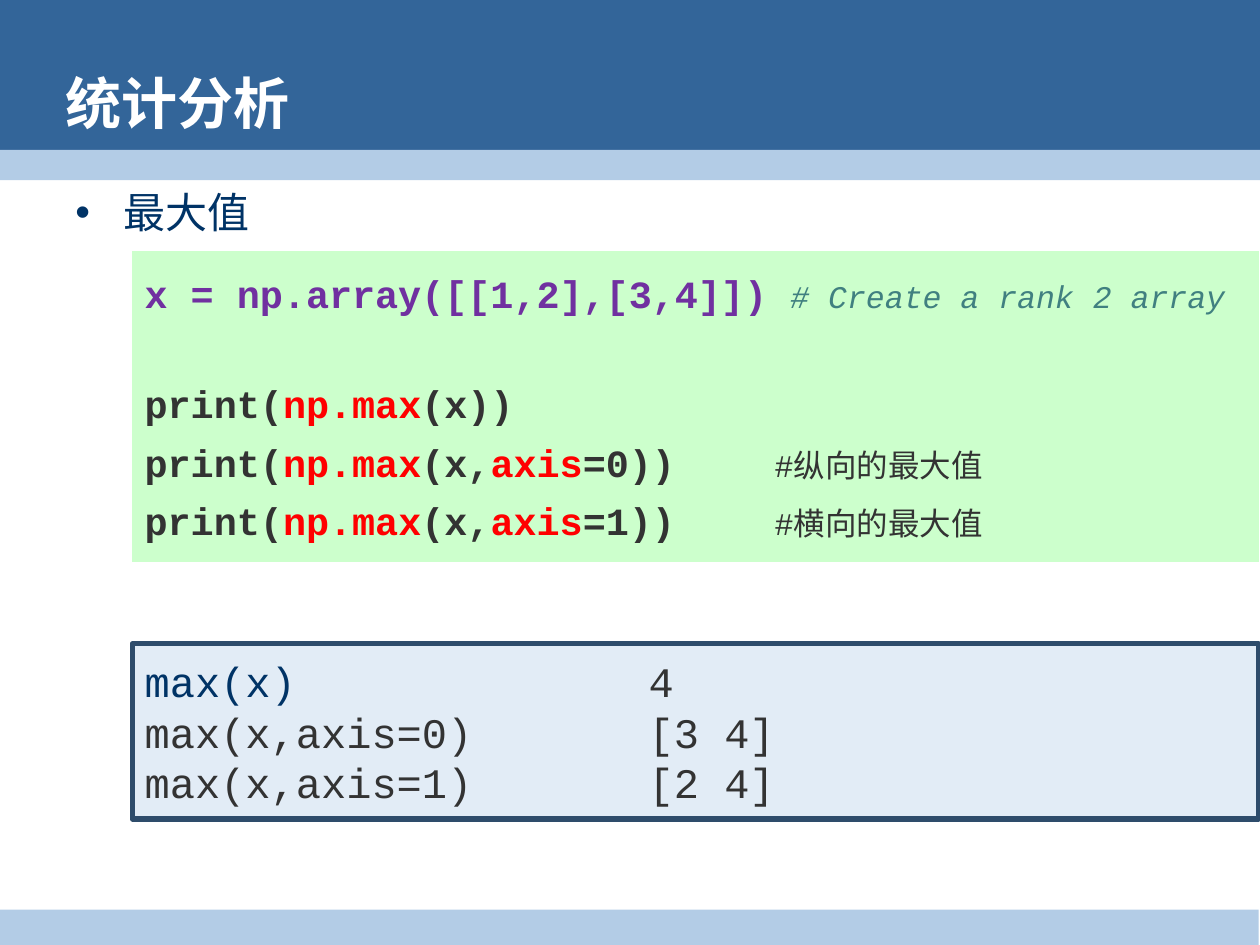
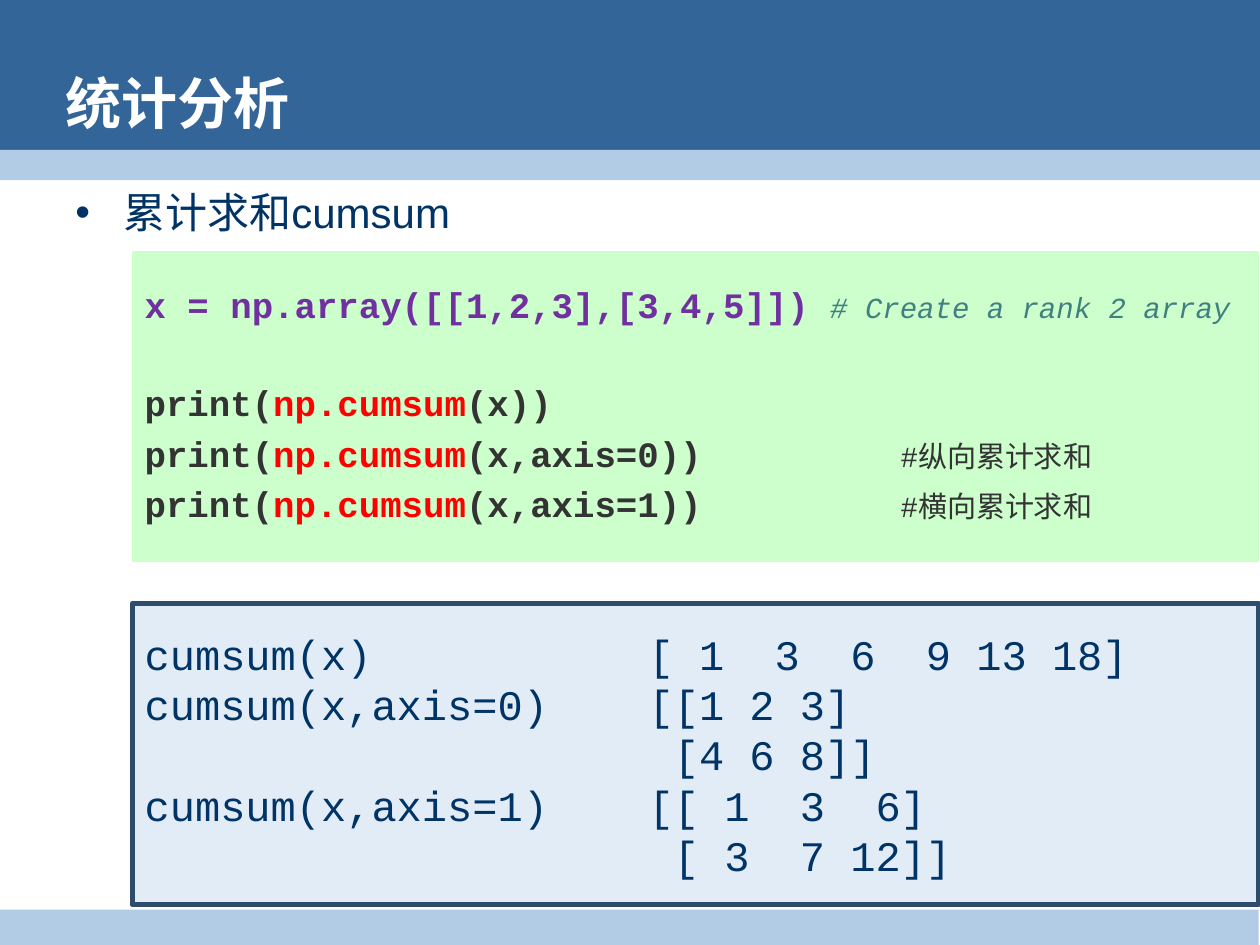
"""Build two lecture slides on NumPy statistics: maximum and cumulative sum."""
from dataclasses import dataclass

from lxml import etree
from pptx import Presentation
from pptx import util as u
from pptx.dml.color import RGBColor
from pptx.enum import shapes, text
from pptx.oxml.ns import qn


@dataclass(frozen=True)
class Theme:
    header: str = "336599"
    band: str = "B3CCE6"
    navy: str = "003366"
    white: str = "FFFFFF"
    ink: str = "333333"
    code_fill: str = "CCFFCC"
    result_fill: str = "E2ECF6"
    result_line: str = "2E4C6B"
    setup: str = "7030A0"
    comment: str = "408080"
    accent: str = "FF0000"
    sans: str = "Arial"
    mono: str = "Courier New"
    title_size: float = 32
    body_size: float = 24


theme = Theme()


def add_panel(slide, preset, box, fill, line=None):
    """Add a filled shape whose text is left-aligned and vertically centred."""
    panel = slide.shapes.add_shape(preset, *map(u.Inches, box))
    panel.shadow.inherit = False
    panel.fill.solid()
    panel.fill.fore_color.rgb = RGBColor.from_string(fill)
    if line:
        panel.line.color.rgb = RGBColor.from_string(line)
        panel.line.width = u.Pt(3)
    else:
        panel.line.fill.background()
    panel.text_frame.word_wrap = True
    panel.text_frame.vertical_anchor = text.MSO_ANCHOR.MIDDLE
    return panel.text_frame


def write_line(frame, runs, font, before=0, spacing=1, tab=None):
    """Write one paragraph from (words, size, colour, bold, italic) runs."""
    first = frame.paragraphs[0]
    line = frame.add_paragraph() if first.runs else first
    line.alignment = text.PP_ALIGN.LEFT
    line.space_before = u.Pt(before)
    line.line_spacing = float(spacing)
    for words, size, colour, bold, italic in runs:
        run = line.add_run()
        run.text = words
        run.font.name = font
        run.font.size = u.Pt(size)
        run.font.bold = bold
        run.font.italic = italic
        run.font.color.rgb = RGBColor.from_string(colour)
    if tab:
        stops = etree.SubElement(line._p.get_or_add_pPr(), qn("a:tabLst"))
        etree.SubElement(stops, qn("a:tab"), pos=str(u.Inches(tab)), algn="l")
    return line


styles = {
    "setup": (theme.setup, True, False),
    "comment": (theme.comment, False, True),
    "code": (theme.ink, True, False),
    "accent": (theme.accent, True, False),
    "note": (theme.ink, False, False),
}

bands = [
    ((0, 0, 10, 1.31), theme.header),
    ((0, 1.19, 10, 0.24), theme.band),
    ((0, 7.22, 9.99, 0.3), theme.band),
]

lessons = [
    {
        "topic": "最大值",
        "code_size": 22, "note_size": 18, "spacing": 1, "gap": 36.8, "note_tab": 5,
        "array": "[[1,2],[3,4]]",
        "function": "np.max",
        "axis_style": "accent",
        "notes": ["纵向的最大值", "横向的最大值"],
        "result_box": (1.05, 5.11, 8.94, 1.39),
        "results": [("max(x)", "4"), ("max(x,axis=0)", "[3 4]"), ("max(x,axis=1)", "[2 4]")],
        "result_colour": theme.ink,
    },
    {
        "topic": "累计求和cumsum",
        "code_size": 20.4, "note_size": 16.6, "spacing": 0.9, "gap": 34.1, "note_tab": 6,
        "array": "[[1,2,3],[3,4,5]]",
        "function": "np.cumsum",
        "axis_style": "code",
        "notes": ["纵向累计求和", "横向累计求和"],
        "result_box": (1.05, 4.79, 8.94, 2.39),
        "results": [
            ("cumsum(x)", "[ 1  3  6  9 13 18]"),
            ("cumsum(x,axis=0)", "[[1 2 3]"),
            ("", " [4 6 8]]"),
            ("cumsum(x,axis=1)", "[[ 1  3  6]"),
            ("", " [ 3  7 12]]"),
        ],
        "result_colour": theme.navy,
    },
]

deck = Presentation()
deck.slide_width, deck.slide_height = u.Inches(10), u.Inches(7.5)

for lesson in lessons:
    slide = deck.slides.add_slide(deck.slide_layouts[5])
    for box, colour in bands:
        add_panel(slide, shapes.MSO_SHAPE.RECTANGLE, box, colour)

    topic = slide.shapes.add_textbox(*map(u.Inches, (0.5, 1.43, 9.25, 0.5))).text_frame
    topic.word_wrap = True
    bullet = write_line(topic, [(lesson["topic"], theme.body_size, theme.navy, False, False)],
                        theme.sans, before=6)
    bullet_props = bullet._p.get_or_add_pPr()
    bullet_props.set("marL", str(u.Inches(0.38)))
    bullet_props.set("indent", str(-u.Inches(0.38)))
    etree.SubElement(bullet_props, qn("a:buFont"), typeface=theme.sans)
    etree.SubElement(bullet_props, qn("a:buChar"), char="•")

    title = slide.shapes.title
    title.left, title.top, title.width, title.height = map(u.Inches, (0.42, 0.52, 9.06, 0.58))
    title.text_frame.vertical_anchor = text.MSO_ANCHOR.MIDDLE
    title.text_frame.auto_size = text.MSO_AUTO_SIZE.NONE
    write_line(title.text_frame, [("统计分析", theme.title_size, theme.white, True, False)], theme.sans)
    title.element.getparent().append(title.element)

    call = [("print(", "code"), (lesson["function"], "accent")]
    code_lines = [
        [(f"x = np.array({lesson['array']}) ", "setup"), ("# Create a rank 2 array", "comment")],
        call + [("(x))", "code")],
    ]
    for axis, note in enumerate(lesson["notes"]):
        code_lines.append(call + [("(x,", "code"), ("axis", lesson["axis_style"]),
                                  (f"={axis}))", "code"), (f"\t#{note}", "note")])

    code = add_panel(slide, shapes.MSO_SHAPE.FLOWCHART_PROCESS, (1.05, 1.99, 8.94, 2.47), theme.code_fill)
    for number, pieces in enumerate(code_lines):
        runs = [(words, lesson["note_size" if role in ("comment", "note") else "code_size"], *styles[role])
                for words, role in pieces]
        write_line(code, runs, theme.mono, before=lesson["gap"] if number == 1 else 6.8,
                   spacing=lesson["spacing"], tab=lesson["note_tab"])

    results = add_panel(slide, shapes.MSO_SHAPE.RECTANGLE, lesson["result_box"],
                        theme.result_fill, theme.result_line)
    for number, (expression, value) in enumerate(lesson["results"]):
        label_colour = theme.navy if number == 0 else lesson["result_colour"]
        write_line(results, [(expression, theme.body_size, label_colour, False, False),
                             (f"\t{value}", theme.body_size, lesson["result_colour"], False, False)],
                   theme.mono, tab=4)

deck.save("out.pptx")
